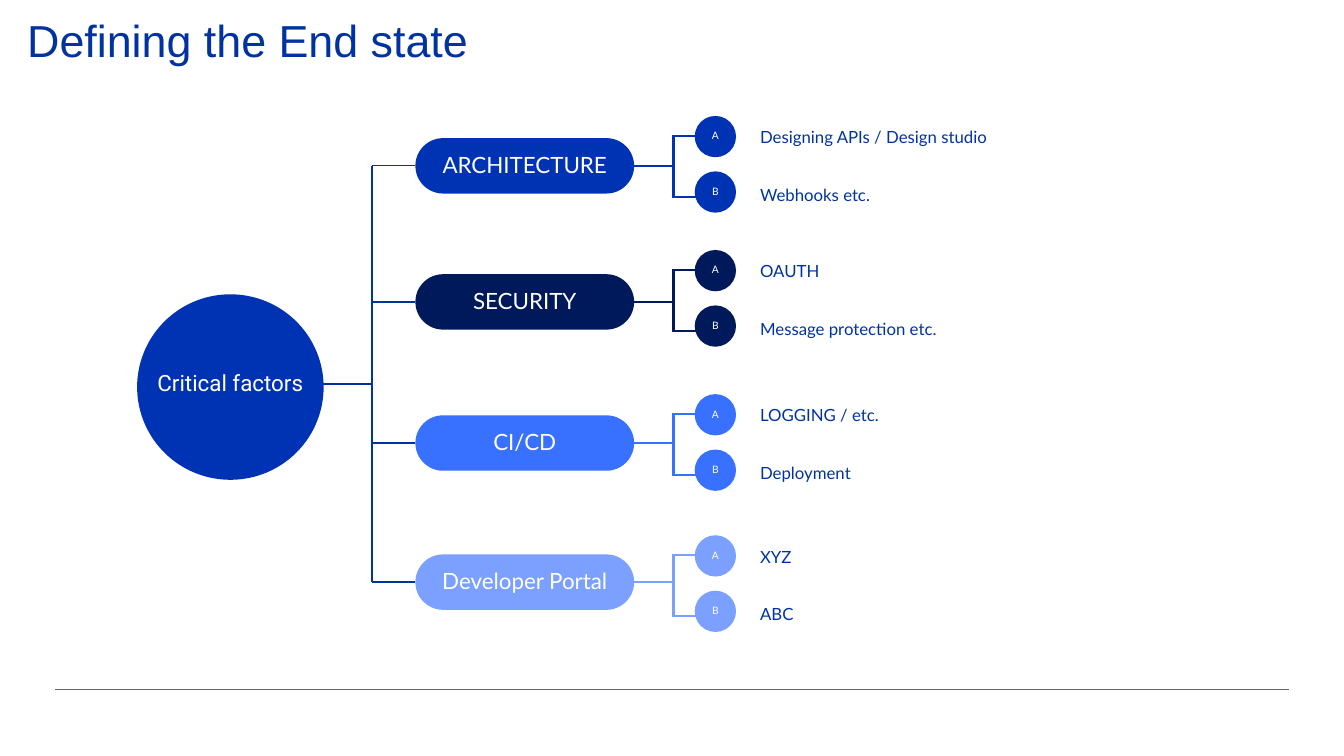
import pptx
import pptx.dml.color
import pptx.enum.shapes
import pptx.enum.text
import pptx.oxml
import pptx.util
from pptx.util import Inches

MSO_SHAPE = pptx.enum.shapes.MSO_SHAPE
ANCHOR = pptx.enum.text.MSO_ANCHOR
ALIGN = pptx.enum.text.PP_ALIGN

NAVY = "0033A0"
BLUE = "0033B4"
WHITE = "FFFFFF"
SPINE_X, CIRCLE_Y = 3.69, 3.81
PILL_X, PILL_W, PILL_H = 4.12, 2.17, 0.55
BRACKET_X, BADGE_X, BADGE_SIZE = 6.68, 6.89, 0.41
LABEL_X = 7.44

# name, colour, top of pill, height of upper bracket arm, items
FACTORS = [
    ("ARCHITECTURE", BLUE, 1.37, 1.35, ("Designing APIs / Design studio", "Webhooks etc.")),
    ("SECURITY", "00195A", 2.72, 2.68, ("OAUTH", "Message protection etc.")),
    ("CI/CD", "3871FF", 4.12, 4.11, ("LOGGING / etc.", "Deployment")),
    ("Developer Portal", "7BA0FF", 5.5, 5.51, ("XYZ", "ABC")),
]


def rgb(value):
    return pptx.dml.color.RGBColor.from_string(value)


def set_text(sp, text, size, font, color, inset=(0, 0), frame=None, para=None):
    """Write one paragraph; frame and para hold further format values."""
    tf = sp.text_frame
    x, y = (Inches(v) for v in inset)
    values = {"word_wrap": True, "margin_left": x, "margin_right": x,
              "margin_top": y, "margin_bottom": y, **(frame or {})}
    for name, value in values.items():
        setattr(tf, name, value)
    p = tf.paragraphs[0]
    for name, value in (para or {}).items():
        setattr(p, name, value)
    r = p.add_run()
    r.text = text
    for name, value in {"size": pptx.util.Pt(size), "name": font}.items():
        setattr(r.font, name, value)
    r.font.color.rgb = rgb(color)


def add_text(s, box, text, size, font, inset=(0, 0), **formats):
    sp = s.shapes.add_textbox(*map(Inches, box))
    set_text(sp, text, size, font, NAVY, inset, **formats)


def add_node(s, kind, box, fill, text, size, font, inset, spacing=0.9, wrap=True):
    """Add a filled shape with centred white text."""
    sp = s.shapes.add_shape(kind, *map(Inches, box))
    sp.shadow.inherit = False
    sp.fill.solid()
    sp.fill.fore_color.rgb = rgb(fill)
    sp.line.fill.background()
    set_text(sp, text, size, font, WHITE, (inset, inset),
             frame={"vertical_anchor": ANCHOR.MIDDLE, "word_wrap": wrap},
             para={"alignment": ALIGN.CENTER, "line_spacing": spacing})
    return sp


def add_line(s, x1, y1, x2, y2, color, width):
    line = s.shapes.add_connector(pptx.enum.shapes.MSO_CONNECTOR.STRAIGHT,
                                  *map(Inches, (x1, y1, x2, y2)))
    line.line.color.rgb = rgb(color)
    line.line.width = pptx.util.Pt(width)
    line._element.spPr.append(pptx.oxml.parse_xml(
        '<a:effectLst xmlns:a="http://schemas.openxmlformats.org/drawingml/2006/main"/>'))
    return line


def add_factor(s, name, color, pill_y, arm_y, items):
    """Add a pill, its tap on the spine, and its bracket of lettered items."""
    mid_y = pill_y + PILL_H / 2
    pill = add_node(s, MSO_SHAPE.ROUNDED_RECTANGLE, (PILL_X, pill_y, PILL_W, PILL_H),
                    color, name, 16, "Lato", 0.03)
    pill.adjustments[0] = 0.5
    add_line(s, PILL_X, mid_y, SPINE_X, mid_y, NAVY, 1).begin_connect(pill, 1)
    add_line(s, PILL_X + PILL_W, mid_y, BRACKET_X, mid_y, color, 1.5).begin_connect(pill, 3)
    add_line(s, BRACKET_X, arm_y, BRACKET_X, arm_y + 0.6, color, 1.5)
    for i, (letter, item) in enumerate(zip("AB", items)):
        y = arm_y + 0.6 * i
        add_line(s, BRACKET_X - 0.01, y, BADGE_X + 0.16, y, color, 1.5)
        add_node(s, MSO_SHAPE.OVAL, (BADGE_X, arm_y - 0.2 + 0.55 * i, BADGE_SIZE, BADGE_SIZE),
                 color, letter, 7.3, "Lato", 0.15, wrap=False)
        add_text(s, (LABEL_X, arm_y - 0.22 + 0.57 * i, 3.48, 0.35), item, 12, "Lato",
                 (0.1, 0.05),
                 para={"line_spacing": 1.4, "space_before": pptx.util.Pt(20)})


def main():
    prs = pptx.Presentation()
    prs.slide_width, prs.slide_height = Inches(13.33), Inches(7.5)
    s = prs.slides.add_slide(prs.slide_layouts[6])

    add_line(s, 0.55, 6.84, 12.78, 6.84, "666666", 0.5)
    add_text(s, (0.27, 0.19, 12.23, 0.71), "Defining the End state", 32, "Arial",
             para={"line_spacing": 0.9})

    first_y, last_y = (FACTORS[i][2] + PILL_H / 2 for i in (0, -1))
    add_line(s, SPINE_X, first_y, SPINE_X, last_y, NAVY, 1)
    add_line(s, SPINE_X, CIRCLE_Y, 2.95, CIRCLE_Y, NAVY, 1)
    add_node(s, MSO_SHAPE.OVAL, (1.36, 2.92, 1.85, 1.84), BLUE, "Critical factors",
             16, "Roboto", 0.15, spacing=0.6, wrap=False)
    for factor in FACTORS:
        add_factor(s, *factor)

    prs.save("out.pptx")


if __name__ == "__main__":
    main()
